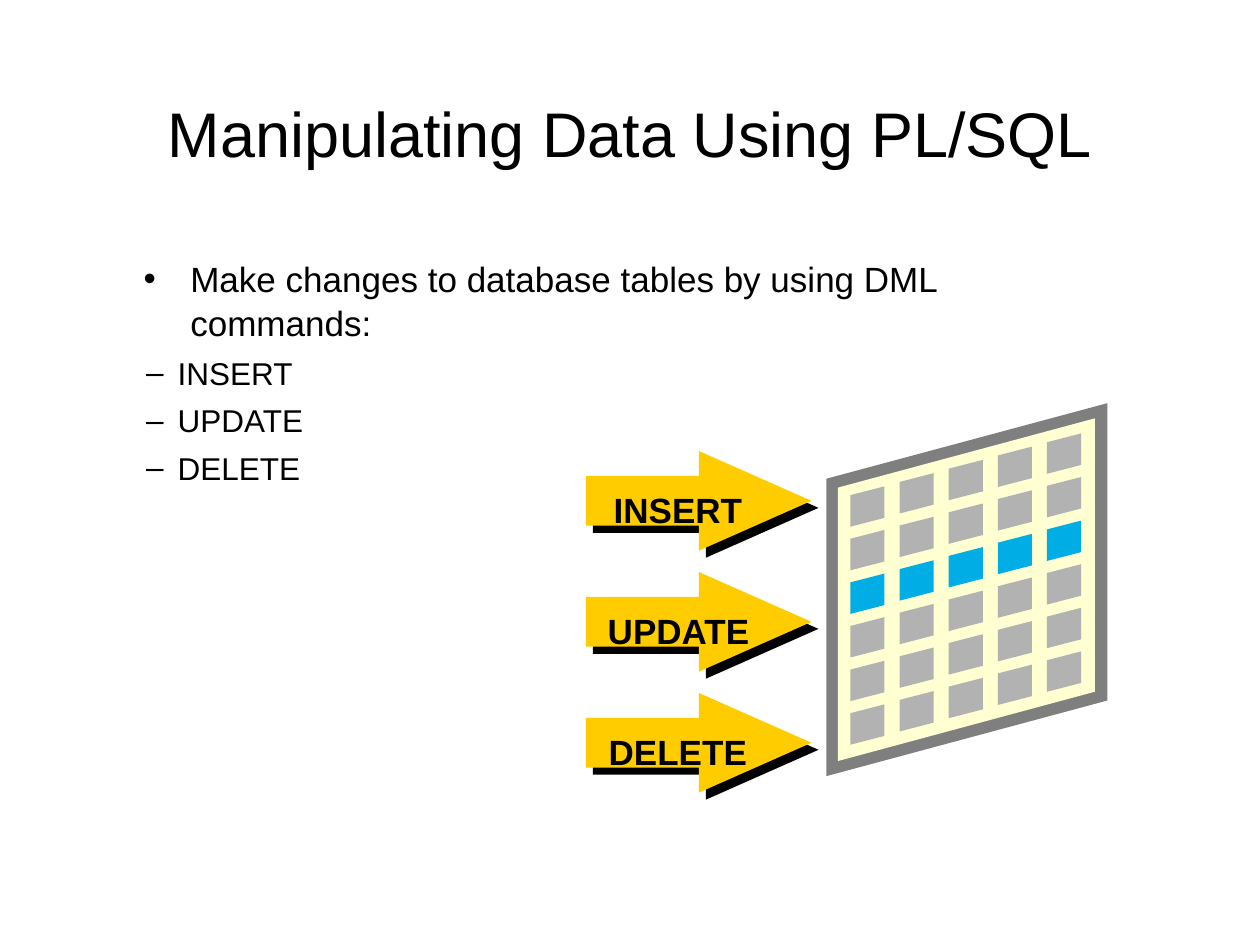
"""Build a slide on changing table data with PL/SQL commands."""
from lxml import etree
from pptx import Presentation, util as u
from pptx.dml.color import RGBColor
from pptx.enum import shapes, text
from pptx.oxml.ns import qn

BLACK = RGBColor(0x00, 0x00, 0x00)
GOLD = RGBColor(0xFF, 0xCC, 0x00)
FRAME = RGBColor(0x7F, 0x7F, 0x7F)
CREAM = RGBColor(0xFF, 0xFF, 0xD1)
GREY = RGBColor(0xB2, 0xB2, 0xB2)
BLUE = RGBColor(0x00, 0xAD, 0xE5)

TITLE = "Manipulating Data Using PL/SQL"
LEAD = "Make changes to database tables by using DML commands:"
LABELS = [("INSERT", 4.77, 1.22), ("UPDATE", 4.71, 1.35), ("DELETE", 4.73, 1.3)]
PANELS = [
    (6.56, 3.8, 2.23, 2.36, 0.6, FRAME),
    (6.65, 3.87, 2.04, 2.17, 0.55, CREAM),
]
ROWS, COLS, CHOSEN = 6, 5, 2


def place(shape, left, top, wide, tall):
    shape.left, shape.top = u.Inches(left), u.Inches(top)
    shape.width, shape.height = u.Inches(wide), u.Inches(tall)


def write(para, words, size, bold=False, align=None, space=1.05, before=0,
          mark=None, margin=0, hang=0, level=0):
    para.level = level
    para.line_spacing = space
    para.space_before = u.Pt(before)
    if align is not None:
        para.alignment = align
    if mark:
        props = para._p.get_or_add_pPr()
        props.set("marL", str(u.Inches(margin)))
        props.set("indent", str(u.Inches(-hang)))
        etree.SubElement(props, qn("a:buFont")).set("typeface", "Arial")
        etree.SubElement(props, qn("a:buChar")).set("char", mark)
    run = para.add_run()
    run.text = words
    run.font.name, run.font.size, run.font.bold = "Arial", u.Pt(size), bold
    run.font.color.rgb = BLACK


def paint(shape, color):
    shape.shadow.inherit = False
    shape.fill.solid()
    shape.fill.fore_color.rgb = color
    shape.line.fill.background()


def slant(slide, left, top, wide, tall, rise, color):
    spots = [
        (left + wide, top - rise),
        (left + wide, top - rise + tall),
        (left, top + tall),
        (left, top),
    ]
    spots = [(u.Inches(x), u.Inches(y)) for x, y in spots]
    build = slide.shapes.build_freeform(*spots[0])
    build.add_line_segments(spots[1:], close=True)
    paint(build.convert_to_shape(), color)


def shade(shape):
    effects = shape._element.spPr.find(qn("a:effectLst"))
    drop = etree.SubElement(effects, qn("a:outerShdw"), dist=str(u.Pt(5.7)),
                            dir="2700000", algn="ctr", rotWithShape="0")
    etree.SubElement(drop, qn("a:srgbClr"), val=str(BLACK))


def arrow(slide, top, words, left, wide):
    shape = slide.shapes.add_shape(
        shapes.MSO_SHAPE.RIGHT_ARROW, u.Inches(4.65), u.Inches(top),
        u.Inches(1.79), u.Inches(0.79))
    shape.adjustments[0], shape.adjustments[1] = 0.5, 1.13
    paint(shape, GOLD)
    shade(shape)
    label = slide.shapes.add_textbox(
        u.Inches(left), u.Inches(top + 0.18), u.Inches(wide), u.Inches(0.5))
    label.text_frame.word_wrap = False
    write(label.text_frame.paragraphs[0], words, 20, bold=True, space=1.2,
          align=text.PP_ALIGN.CENTER)


def main():
    deck = Presentation()
    deck.slide_width, deck.slide_height = u.Inches(10), u.Inches(7.5)
    slide = deck.slides.add_slide(deck.slide_layouts[1])
    title, body = slide.placeholders
    place(title, 0.75, 0.67, 8.5, 1.25)
    place(body, 0.94, 1.98, 8.08, 2.81)
    for holder in (title, body):
        frame = holder.text_frame
        frame.auto_size = text.MSO_AUTO_SIZE.NONE
        frame.vertical_anchor = text.MSO_ANCHOR.TOP
        frame.word_wrap = True
    write(title.text_frame.paragraphs[0], TITLE, 36, align=text.PP_ALIGN.CENTER)
    write(body.text_frame.paragraphs[0], LEAD, 20, mark="•", margin=0.47, hang=0.37)
    for words, _, _ in LABELS:
        write(body.text_frame.add_paragraph(), words, 18, before=4.5, mark="–",
              margin=0.37, hang=0.25, level=1)

    for panel in PANELS:
        slant(slide, *panel)
    for row in range(ROWS):
        for col in range(COLS):
            top = 3.93 + 1.73 * row / (ROWS - 1) - 0.42 * col / (COLS - 1)
            slant(slide, 6.75 + 0.39 * col, top, 0.27, 0.25, 0.07,
                  BLUE if row == CHOSEN else GREY)
    for row, (words, left, wide) in enumerate(LABELS):
        arrow(slide, 3.58 + 0.96 * row, words, left, wide)
    deck.save("out.pptx")


if __name__ == "__main__":
    main()
